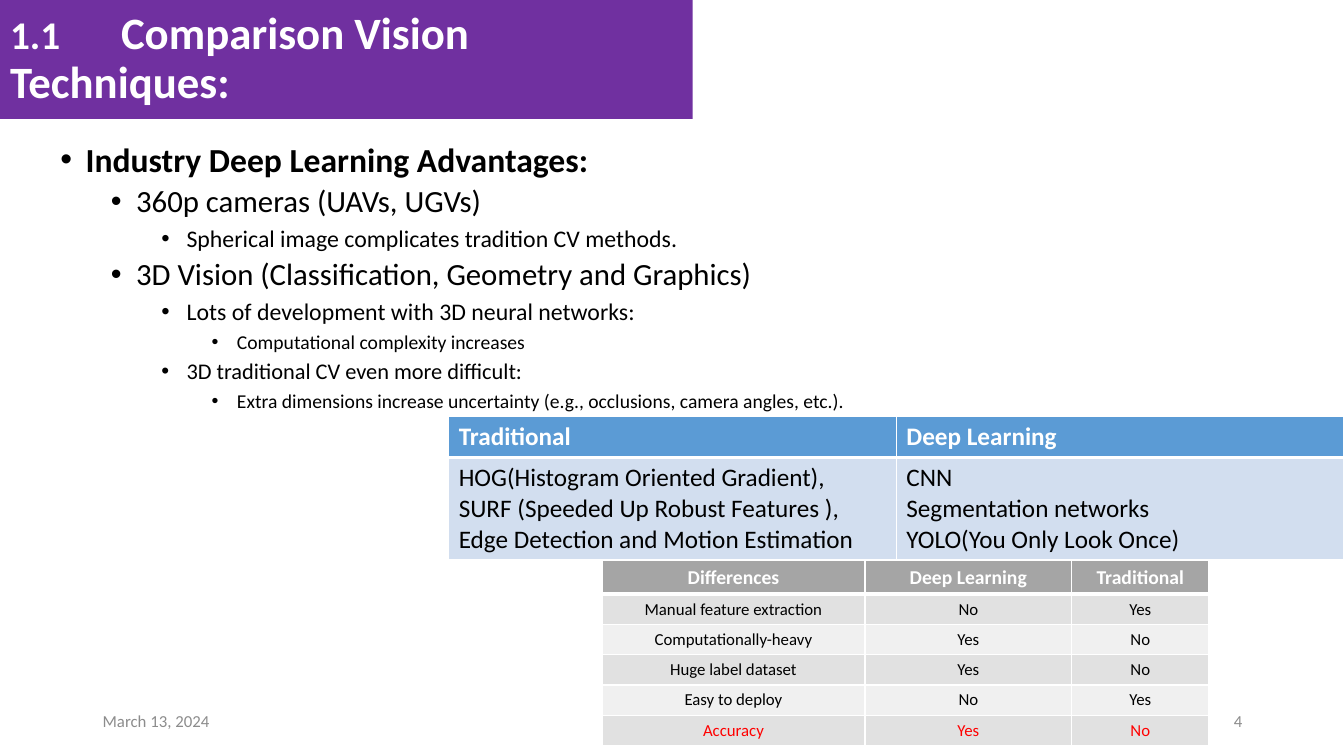
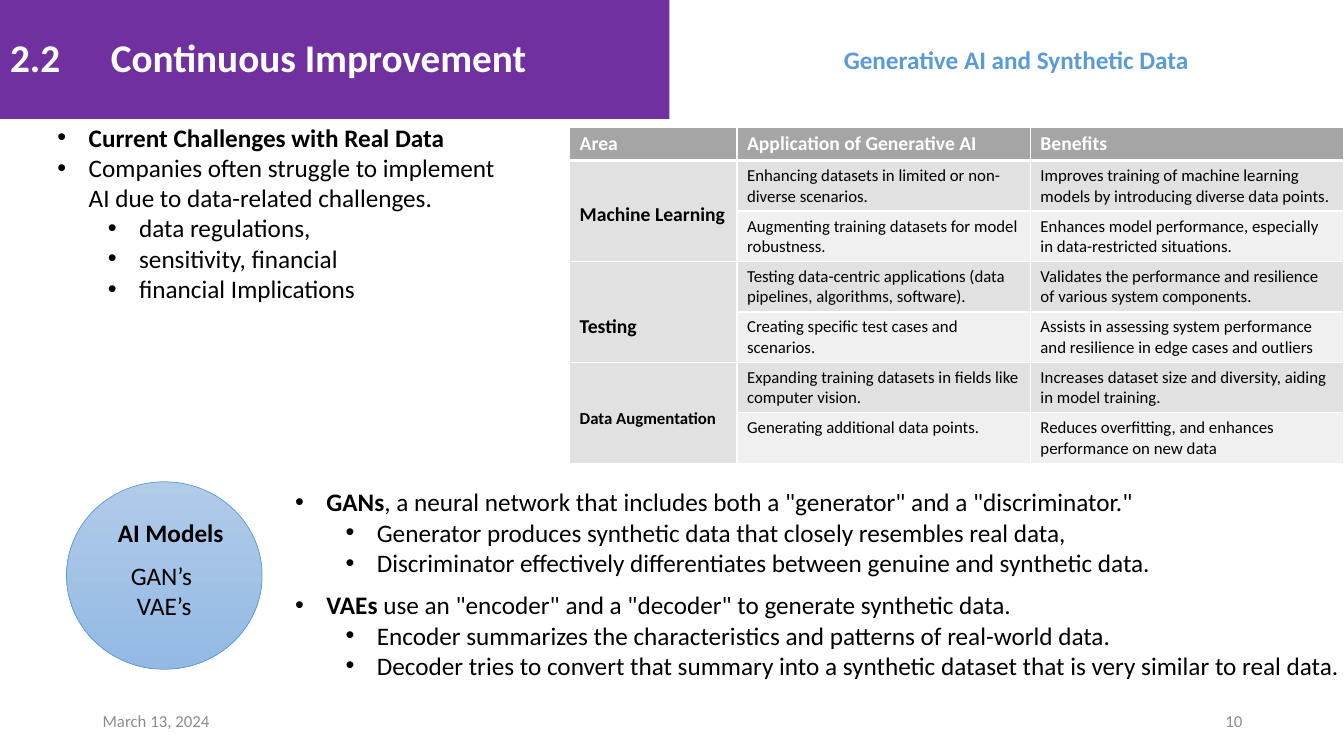
from lxml.etree import SubElement
from pptx import Presentation
from pptx.dml.color import RGBColor
from pptx.enum.shapes import MSO_SHAPE
from pptx.enum.text import MSO_ANCHOR, MSO_AUTO_SIZE, PP_ALIGN
from pptx.oxml.ns import qn
from pptx.util import Inches, Pt

W, H = 13.33, 7.5
FONT = "Calibri"
PURPLE, BLUE, PALE_BLUE = "7030A0", "5B9BD5", "D2DEEF"
GRAY, MID_GRAY, PALE_GRAY, FOOTER_GRAY = "A5A5A5", "E1E1E1", "F0F0F0", "8C8C8C"
WHITE, BLACK, RED = "FFFFFF", "000000", "FF0000"
BAND_H = 1.18
LEVEL_STEP = 0.5


def rgb(color):
    return RGBColor.from_string(color)


def style(p, size, color=BLACK, bold=False):
    for r in p.runs:
        f = r.font
        f.name, f.size, f.bold = FONT, Pt(size), bold
        f.color.rgb = rgb(color)


def place(sp, x, y, w, h):
    sp.left, sp.top, sp.width, sp.height = (Inches(v) for v in (x, y, w, h))


def label(s, box, text, size, color, bold=False, align=PP_ALIGN.LEFT,
          anchor=MSO_ANCHOR.TOP, wrap=True):
    tf = s.shapes.add_textbox(*map(Inches, box)).text_frame
    tf.word_wrap, tf.vertical_anchor = wrap, anchor
    tf.text = text
    p = tf.paragraphs[0]
    p.alignment = align
    style(p, size, color, bold)


def title_band(s, width, parts):
    """Purple band with (text, size) parts; a tab follows the section number."""
    title = s.shapes.title
    place(title, 0, 0, width, BAND_H)
    title.fill.solid()
    title.fill.fore_color.rgb = rgb(PURPLE)
    tf = title.text_frame
    tf.auto_size, tf.vertical_anchor = MSO_AUTO_SIZE.NONE, MSO_ANCHOR.MIDDLE
    p = tf.paragraphs[0]
    tabs = SubElement(p._p.get_or_add_pPr(), qn("a:tabLst"))
    SubElement(tabs, qn("a:tab"), pos=str(Inches(1)), algn="l")
    for text, _ in parts:
        p.add_run().text = text
    style(p, 28, WHITE, True)
    for r, (_, size) in zip(p.runs, parts):
        r.font.size = Pt(size)
    p.alignment, p.line_spacing = PP_ALIGN.LEFT, 0.9


def footer(s, number):
    for x, text, align in ((0.92, "March 13, 2024", PP_ALIGN.LEFT),
                           (9.42, number, PP_ALIGN.RIGHT)):
        label(s, (x, 6.95, 3, 0.4), text, 12, FOOTER_GRAY, align=align,
              anchor=MSO_ANCHOR.MIDDLE)


def bullets(tf, items, hang, line=1.0, before=0):
    """Items are (level, size, bold lead, plain rest)."""
    tf.word_wrap, tf.auto_size = True, MSO_AUTO_SIZE.NONE
    for i, (level, size, lead, rest) in enumerate(items):
        p = tf.paragraphs[0] if i == 0 else tf.add_paragraph()
        pPr = p._p.get_or_add_pPr()
        pPr.set("marL", str(Inches(hang + LEVEL_STEP * level)))
        pPr.set("indent", str(Inches(-hang)))
        SubElement(pPr, qn("a:buFont"), typeface="Arial")
        SubElement(pPr, qn("a:buChar"), char="•")
        p.level, p.line_spacing = level, line
        p.space_before, p.space_after = Pt(before if i else 0), Pt(0)
        for text in filter(None, (lead, rest)):
            p.add_run().text = text
        style(p, size)
        if lead:
            p.runs[0].font.bold = True


def bullet_box(s, box, items):
    tf = s.shapes.add_textbox(*map(Inches, box)).text_frame
    tf.margin_right = 0
    bullets(tf, items, 0.31)


def borders(cell, top, bottom):
    tcPr = cell._tc.get_or_add_tcPr()
    for side, width in (("L", 1), ("R", 1), ("T", top), ("B", bottom)):
        ln = SubElement(tcPr, qn("a:ln" + side), w=str(Pt(width)))
        fill = SubElement(ln, qn("a:solidFill"))
        SubElement(fill, qn("a:srgbClr"), val=WHITE)


def grid(s, x, y, cols, row_hs, rows, head, bands, sizes, align=PP_ALIGN.LEFT):
    """Table with a head row and alternating bands; sizes are (head, body)."""
    box = map(Inches, (x, y, sum(cols), sum(row_hs)))
    table = s.shapes.add_table(len(rows), len(cols), *box).table
    for col, w in zip(table.columns, cols):
        col.width = Inches(w)
    for i, (row, h, texts) in enumerate(zip(table.rows, row_hs, rows)):
        row.height = Inches(h)
        is_head = i == 0
        for cell, text in zip(row.cells, texts):
            borders(cell, 3 if i == 1 else 1, 3 if is_head else 1)
            cell.fill.solid()
            cell.fill.fore_color.rgb = rgb(head if is_head else bands[(i - 1) % len(bands)])
            cell.text = text
            for p in cell.text_frame.paragraphs:
                p.alignment = align
                style(p, sizes[0 if is_head else 1], WHITE if is_head else BLACK, is_head)
    return table


def merge_area(table, row, size, top):
    """Join two rows of the first column under one bold name."""
    cell = table.cell(row, 0)
    cell.merge(table.cell(row + 1, 0))
    cell.margin_top = Inches(top)
    style(cell.text_frame.paragraphs[0], size, bold=True)


def models_circle(s, x, y, w, h):
    sp = s.shapes.add_shape(MSO_SHAPE.OVAL, *map(Inches, (x, y, w, h)))
    sp.shadow.inherit = False
    sp.fill.gradient()
    sp.fill.gradient_angle = 270
    for stop, color in zip(sp.fill.gradient_stops, ("B1CBE9", "93B9E4")):
        stop.color.rgb = rgb(color)
    sp.line.color.rgb, sp.line.width = rgb(BLUE), Pt(0.5)
    tf = sp.text_frame
    tf.vertical_anchor, tf.margin_top = MSO_ANCHOR.MIDDLE, Inches(0.35)
    tf.text = "GAN’s \nVAE’s"
    for p in tf.paragraphs:
        p.alignment = PP_ALIGN.CENTER
        style(p, 18)
    label(s, (x + 0.41, y + 0.3, 1.26, 0.4), "AI Models", 18, BLACK, True, wrap=False)


def comparison_slide(prs):
    s = prs.slides.add_slide(prs.slide_layouts[1])
    title_band(s, 6.87, [("1.1\t", 28), (" Comparison Vision Techniques:", 32)])
    body = s.placeholders[1]
    place(body, 0.5, 1.37, 8.59, 2.86)
    bullets(body.text_frame, [
        (0, 24, "Industry Deep Learning Advantages:", ""),
        (1, 22, "", "360p cameras (UAVs, UGVs)"),
        (2, 17, "", "Spherical image complicates tradition CV methods."),
        (1, 22, "", "3D Vision (Classification, Geometry and Graphics)"),
        (2, 17, "", "Lots of development with 3D neural networks:"),
        (3, 14, "", "Computational complexity increases"),
        (2, 16, "", "3D traditional CV even more difficult:"),
        (3, 14, "", "Extra dimensions increase uncertainty "
                    "(e.g., occlusions, camera angles, etc.)."),
    ], 0.25, line=0.9, before=5)
    footer(s, "4")
    grid(s, 4.45, 4.13, [4.44] * 2, [0.41, 1.01], [
        ("Traditional", "Deep Learning"),
        ("HOG(Histogram Oriented Gradient),\n"
         "SURF (Speeded Up Robust Features ), Edge Detection and Motion Estimation",
         "CNN\nSegmentation networks\nYOLO(You Only Look Once)"),
    ], BLUE, [PALE_BLUE], (18, 18))
    differences = grid(s, 5.97, 5.56, [2.61, 2.05, 1.36], [0.33] + [0.3] * 5, [
        ("Differences", "Deep Learning", "Traditional"),
        ("Manual feature extraction", "No", "Yes"),
        ("Computationally-heavy", "Yes", "No"),
        ("Huge label dataset", "Yes", "No"),
        ("Easy to deploy", "No", "Yes"),
        ("Accuracy", "Yes", "No"),
    ], GRAY, [MID_GRAY, PALE_GRAY], (14, 12), PP_ALIGN.CENTER)
    for c in range(3):
        style(differences.cell(5, c).text_frame.paragraphs[0], 12, RED)


def improvement_slide(prs):
    s = prs.slides.add_slide(prs.slide_layouts[1])
    title_band(s, 6.64, [("2.2\tContinuous Improvement", 28)])
    label(s, (8.27, 0.39, 3.65, 0.4), "Generative AI and Synthetic Data", 18, BLUE, True,
          wrap=False)
    body = s.placeholders[1]
    place(body, 0.47, 1.16, 4.8, 1.92)
    bullets(body.text_frame, [
        (0, 18, "Current Challenges with Real Data", ""),
        (0, 18, "", "Companies often struggle to implement AI due to data-related challenges."),
        (1, 18, "", "data regulations,"),
        (1, 18, "", "sensitivity, financial"),
        (1, 18, "", "financial Implications"),
    ], 0.31)
    footer(s, "10")
    areas = grid(s, 5.65, 1.26, [1.66, 2.91, 3.11], [0.33] + [0.5] * 6, [
        ("Area", "Application of Generative AI", "Benefits"),
        ("Machine Learning", "Enhancing datasets in limited or non-diverse scenarios.",
         "Improves training of machine learning models by introducing diverse data points."),
        ("", "Augmenting training datasets for model robustness.",
         "Enhances model performance, especially in data-restricted situations."),
        ("Testing", "Testing data-centric applications (data pipelines, algorithms, software).",
         "Validates the performance and resilience of various system components."),
        ("", "Creating specific test cases and scenarios.",
         "Assists in assessing system performance and resilience in edge cases and outliers"),
        ("Data Augmentation", "Expanding training datasets in fields like computer vision.",
         "Increases dataset size and diversity, aiding in model training."),
        ("", "Generating additional data points.",
         "Reduces overfitting, and enhances performance on new data"),
    ], GRAY, [MID_GRAY, PALE_GRAY], (14, 12))
    for row, size, top in ((1, 14, 0.42), (3, 14, 0.53), (5, 12, 0.46)):
        merge_area(areas, row, size, top)
    models_circle(s, 0.66, 4.78, 1.94, 1.86)
    bullet_box(s, (2.83, 4.78, W - 2.83, 1.01), [
        (0, 18, "GANs", ', a neural network that includes both a "generator" and a "discriminator."'),
        (1, 18, "", "Generator produces synthetic data that closely resembles real data,"),
        (1, 18, "", "Discriminator effectively differentiates between genuine and synthetic data."),
    ])
    bullet_box(s, (2.83, 5.8, W - 2.83, 1.01), [
        (0, 18, "VAEs ", 'use an "encoder" and a "decoder" to generate synthetic data.'),
        (1, 18, "", "Encoder summarizes the characteristics and patterns of real-world data."),
        (1, 18, "", "Decoder tries to convert that summary into a synthetic dataset "
                    "that is very similar to real data."),
    ])


def main():
    prs = Presentation()
    prs.slide_width, prs.slide_height = Inches(W), Inches(H)
    comparison_slide(prs)
    improvement_slide(prs)
    prs.save("out.pptx")


if __name__ == "__main__":
    main()
